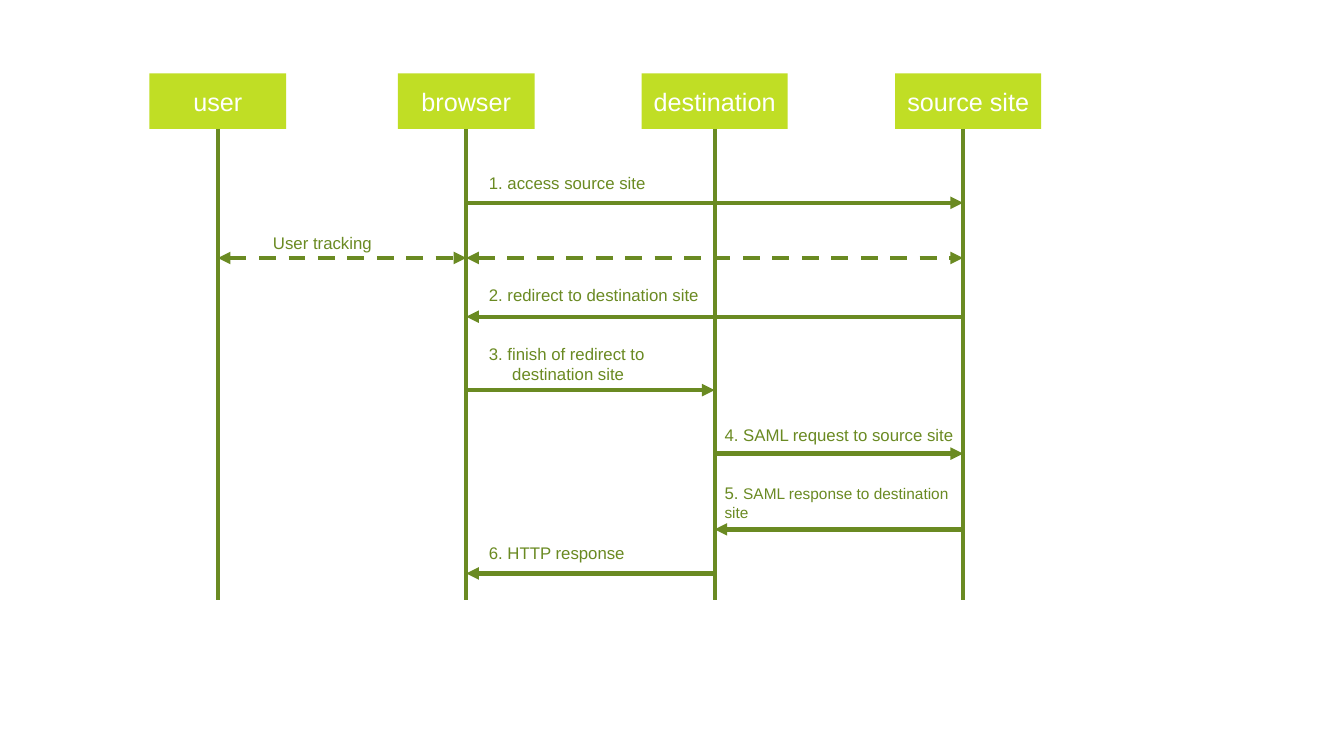
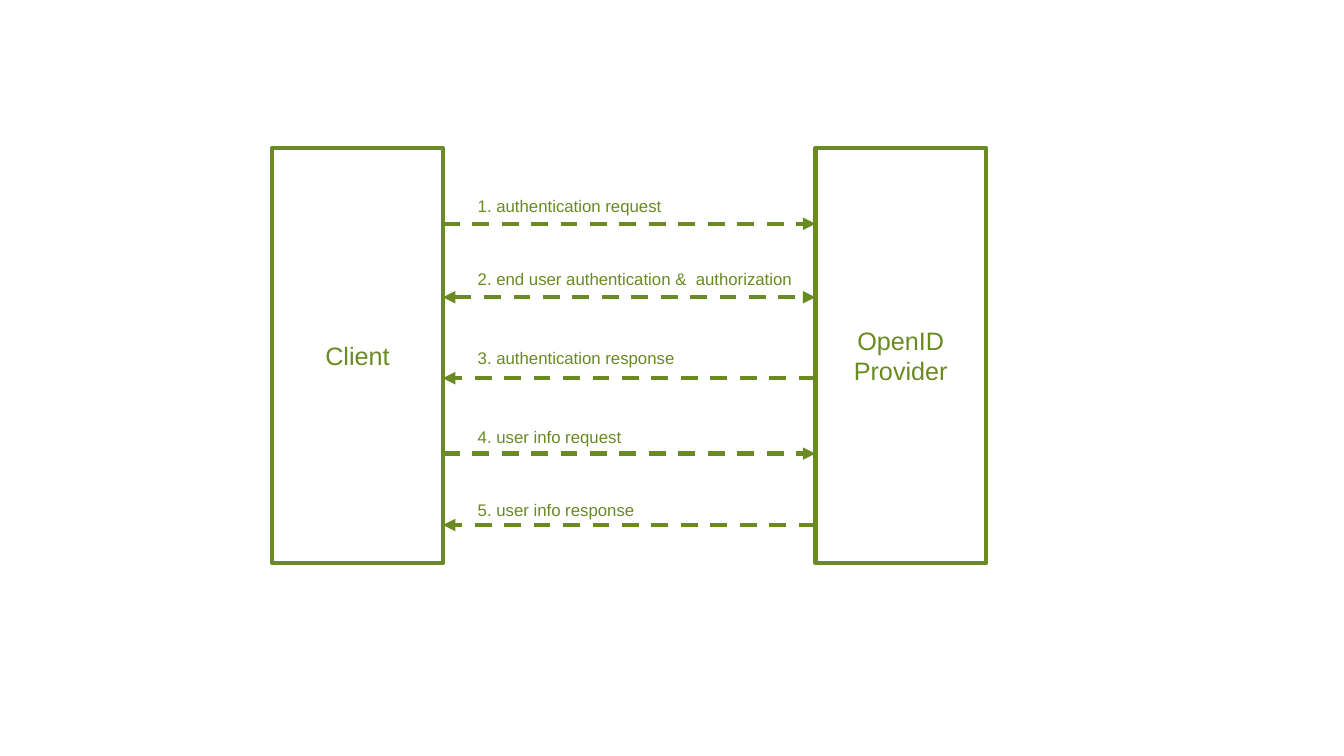
import lxml.etree
import pptx
import pptx.dml.color
import pptx.enum.dml
import pptx.enum.shapes
import pptx.enum.text
import pptx.oxml.ns
import pptx.util

Cm = pptx.util.Cm
Pt = pptx.util.Pt
qn = pptx.oxml.ns.qn

GREEN = pptx.dml.color.RGBColor(0x6A, 0x8A, 0x22)
LIME = pptx.dml.color.RGBColor(0xC0, 0xDE, 0x25)
WHITE = pptx.dml.color.RGBColor(0xFF, 0xFF, 0xFF)
FONT = "Arial"
LINE_WIDTH = Pt(3)
BOX_SIZE, LABEL_SIZE, SMALL_SIZE = Pt(18), Pt(12), Pt(11)
LABEL_HEIGHT = 0.77

# Sequence diagram, in centimetres: name, header width, header shift off the lane
LANES = [
    ("user", 3.45, 0),
    ("browser", 3.45, 0),
    ("destination", 3.68, 0),
    ("source site", 3.68, 0.13),
]
USER, BROWSER, DESTINATION, SOURCE = range(len(LANES))
FIRST_LANE, LANE_STEP = 5.49, 6.26
HEADER_TOP, HEADER_HEIGHT, LANE_END = 1.85, 1.4, 15.11

# from lane, to lane, y, dashed and two-headed
MESSAGES = [
    (BROWSER, SOURCE, 5.11, False),
    (USER, BROWSER, 6.5, True),
    (BROWSER, SOURCE, 6.5, True),
    (SOURCE, BROWSER, 7.98, False),
    (BROWSER, DESTINATION, 9.83, False),
    (DESTINATION, SOURCE, 11.43, False),
    (SOURCE, DESTINATION, 13.34, False),
    (DESTINATION, BROWSER, 14.45, False),
]
# text, text in small type, left, top, width
MESSAGE_LABELS = [
    ("1. access source site", "", 12.07, 4.24, 9.73),
    ("User tracking", "", 6.63, 5.74, 4),
    ("2. redirect to destination site", "", 12.07, 7.06, 6.1),
    ("3. finish of redirect to\vdestination site", "", 12.07, 8.53, 5.5),
    ("4. SAML request to source site", "", 18.01, 10.59, 8.48),
    ("5. ", "SAML response to destination site", 18.01, 12.04, 6.3),
    ("6. HTTP response", "", 12.07, 13.56, 4.52),
]

# Client and provider: name, left
PARTIES = [("Client", 6.86), ("OpenID Provider", 20.55)]
PARTY_TOP, PARTY_WIDTH, PARTY_HEIGHT = 3.73, 4.3, 10.46
STEP_LABEL_LEFT, STEP_LABEL_WIDTH = 11.79, 9.73
# text, label top, arrow y, direction
STEPS = [
    ("1. authentication request", 4.8, 5.64, "right"),
    ("2. end user authentication &  authorization", 6.65, 7.49, "both"),
    ("3. authentication response", 8.64, 9.53, "left"),
    ("4. user info request", 10.62, 11.43, "right"),
    ("5. user info response", 12.47, 13.23, "left"),
]


def style_font(font, size, color):
    font.name, font.size = FONT, size
    font.color.rgb = color


def add_box(slide, name, left, top, width, height, fill=None, outline=None):
    shape = slide.shapes.add_shape(
        pptx.enum.shapes.MSO_SHAPE.RECTANGLE, Cm(left), Cm(top), Cm(width), Cm(height))
    shape.shadow.inherit = False
    if fill is None:
        shape.fill.background()
    else:
        shape.fill.solid()
        shape.fill.fore_color.rgb = fill
    if outline is None:
        shape.line.fill.background()
    else:
        shape.line.color.rgb = outline
        shape.line.width = LINE_WIDTH
    frame = shape.text_frame
    frame.text = name
    frame.vertical_anchor = pptx.enum.text.MSO_ANCHOR.MIDDLE
    paragraph = frame.paragraphs[0]
    paragraph.alignment = pptx.enum.text.PP_ALIGN.CENTER
    style_font(paragraph.runs[0].font, BOX_SIZE, outline or WHITE)
    return shape


def add_line(slide, start, end, dashed=False, ends=()):
    """Draw a line between two points; ends names the arrowheads, head first."""
    connector = slide.shapes.add_connector(
        pptx.enum.shapes.MSO_CONNECTOR.STRAIGHT, *map(Cm, start + end))
    connector.line.color.rgb = GREEN
    connector.line.width = LINE_WIDTH
    if dashed:
        connector.line.dash_style = pptx.enum.dml.MSO_LINE.DASH
    properties = connector.element.spPr
    outline = properties.find(qn("a:ln"))
    for end_name in ends:
        lxml.etree.SubElement(outline, qn("a:" + end_name), type="triangle")
    lxml.etree.SubElement(properties, qn("a:effectLst"))
    return connector


def add_label(slide, text, left, top, width, small_text=""):
    line_count = text.count("\v") + 1
    box = slide.shapes.add_textbox(
        Cm(left), Cm(top), Cm(width), Cm(LABEL_HEIGHT * line_count))
    frame = box.text_frame
    frame.word_wrap = True
    frame.text = text
    paragraph = frame.paragraphs[0]
    if line_count > 1:
        hanging = Cm(0.59)
        paragraph_properties = paragraph._p.get_or_add_pPr()
        paragraph_properties.set("marL", str(hanging))
        paragraph_properties.set("indent", str(-hanging))
    for run in paragraph.runs:
        style_font(run.font, LABEL_SIZE, GREEN)
    if small_text:
        run = paragraph.add_run()
        run.text = small_text
        style_font(run.font, SMALL_SIZE, GREEN)


def build_sequence(slide):
    centres = [FIRST_LANE + LANE_STEP * index for index in range(len(LANES))]
    for (name, width, shift), x in zip(LANES, centres):
        header = add_box(slide, name, x + shift - width / 2, HEADER_TOP,
                         width, HEADER_HEIGHT, fill=LIME)
        lifeline = add_line(slide, (x, HEADER_TOP + HEADER_HEIGHT), (x, LANE_END))
        if not shift:
            lifeline.begin_connect(header, 2)
            lifeline.end_x = lifeline.begin_x
    for source, target, y, two_way in MESSAGES:
        ends = ("headEnd", "tailEnd") if two_way else ("tailEnd",)
        add_line(slide, (centres[source], y), (centres[target], y), two_way, ends)
    for text, small_text, left, top, width in MESSAGE_LABELS:
        add_label(slide, text, left, top, width, small_text)


def build_client_provider(slide):
    for name, left in PARTIES:
        add_box(slide, name, left, PARTY_TOP, PARTY_WIDTH, PARTY_HEIGHT, outline=GREEN)
    client_edge, provider_edge = PARTIES[0][1] + PARTY_WIDTH, PARTIES[1][1]
    for text, label_top, y, direction in STEPS:
        start, end = (client_edge, y), (provider_edge, y)
        if direction == "left":
            start, end = end, start
        ends = ("headEnd", "tailEnd") if direction == "both" else ("tailEnd",)
        add_line(slide, start, end, True, ends)
        add_label(slide, text, STEP_LABEL_LEFT, label_top, STEP_LABEL_WIDTH)


def main():
    presentation = pptx.Presentation()
    presentation.slide_width, presentation.slide_height = Cm(33.87), Cm(19.05)
    blank_layout = presentation.slide_layouts[6]
    for build in (build_sequence, build_client_provider):
        build(presentation.slides.add_slide(blank_layout))
    presentation.save("out.pptx")


if __name__ == "__main__":
    main()
